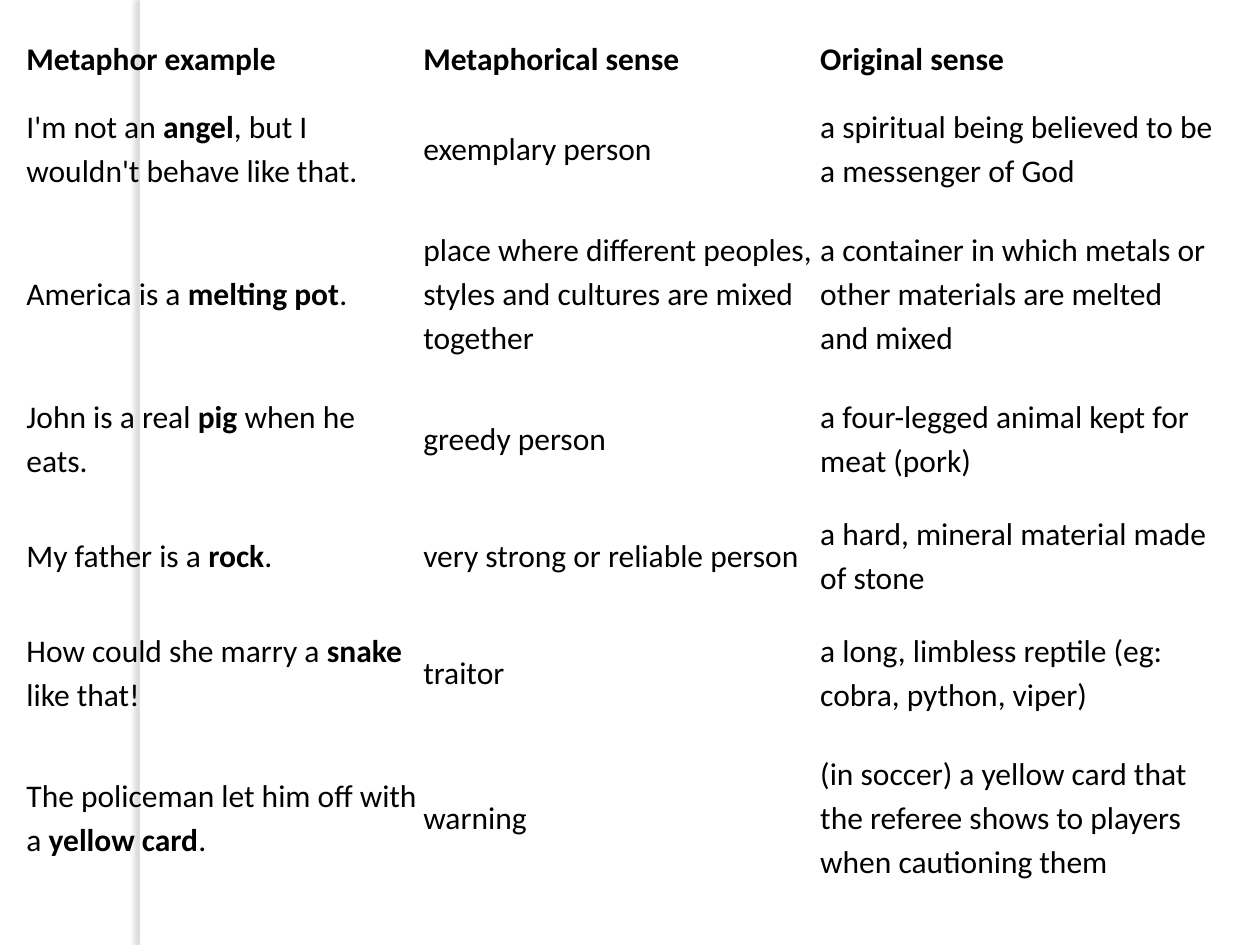
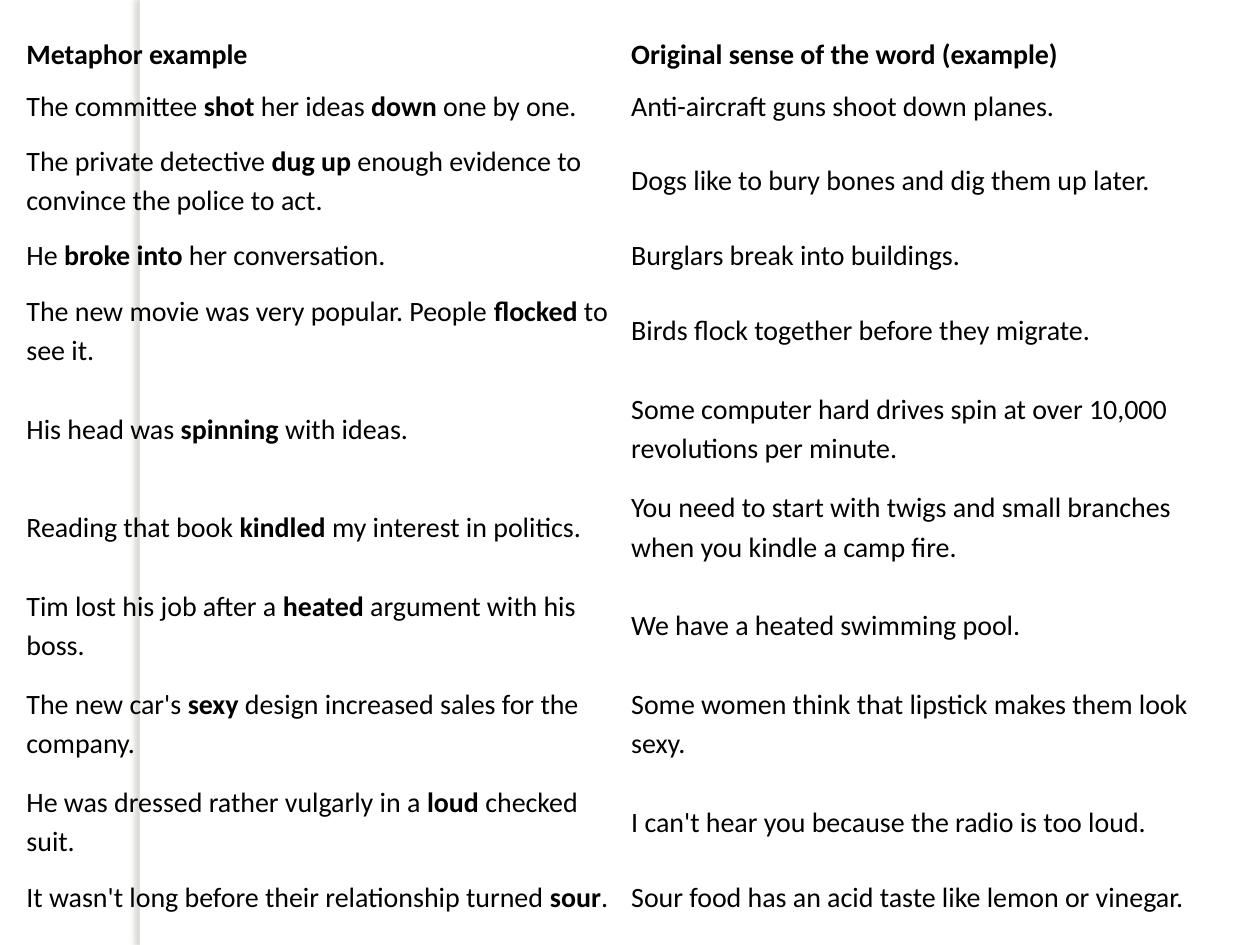
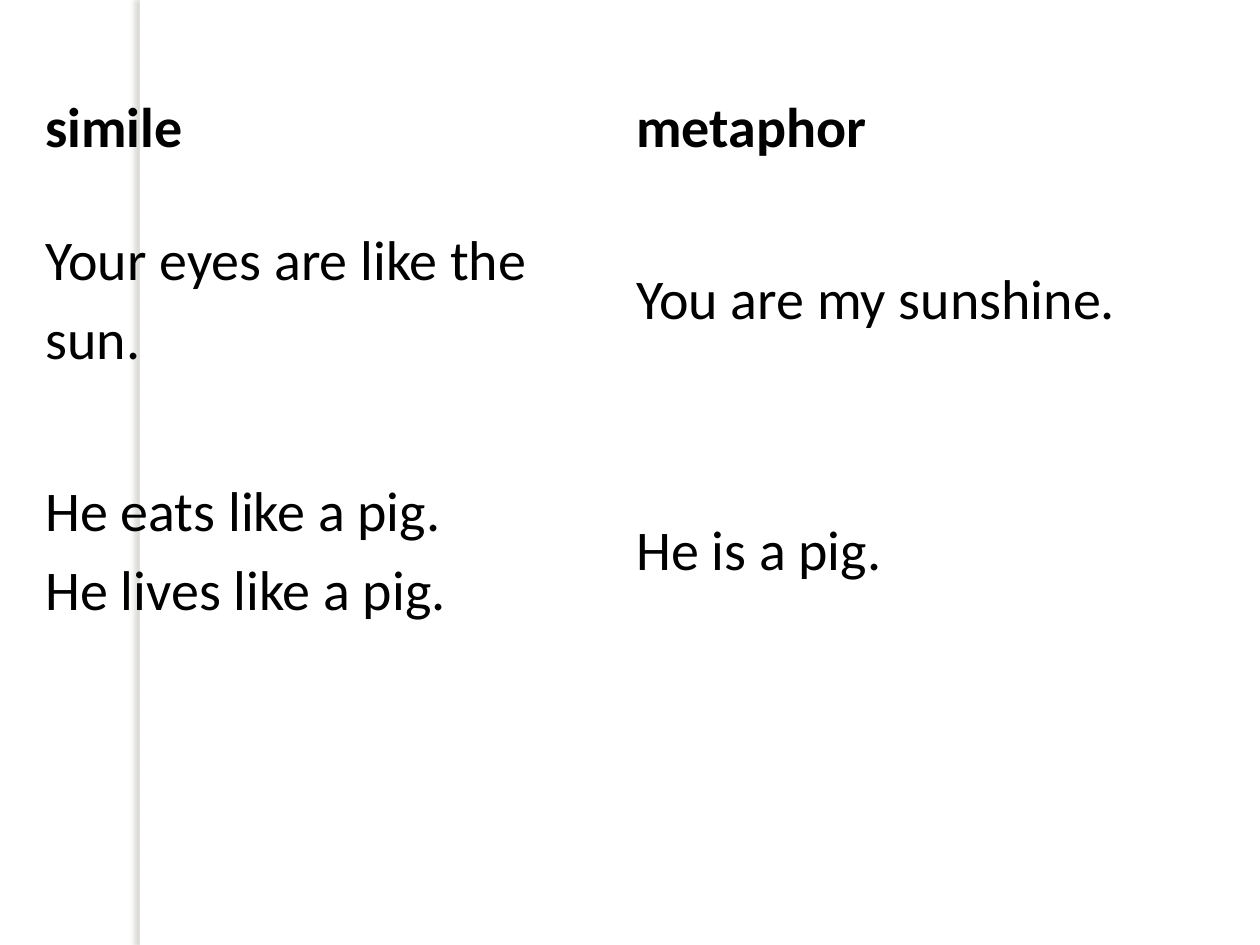
from dataclasses import dataclass

from lxml.etree import SubElement
from pptx import Presentation
from pptx.dml.color import RGBColor
from pptx.enum.shapes import MSO_SHAPE as Shape
from pptx.enum.text import MSO_ANCHOR as Anchor
from pptx.oxml.ns import qn
from pptx.util import Inches, Pt


@dataclass(frozen=True)
class Theme:
    font: str = "Calibri"
    ink: RGBColor = RGBColor(0x00, 0x00, 0x00)
    paper: RGBColor = RGBColor(0xFF, 0xFF, 0xFF)
    shadow: str = "736F63"
    dense: int = 16
    normal: int = 18
    large: int = 32
    line_spacing: float = 1.15
    space_after: int = 10
    cell_margin: float = 0.01
    plain_table: str = "{2D5ABB26-0587-4C30-8999-92F81FD0307C}"


THEME = Theme()

# Words between asterisks are bold.
SENSES = [
    ("*Metaphor example*", "*Metaphorical sense*", "*Original sense*"),
    ("I'm not an *angel*, but I wouldn't behave like that.",
     "exemplary person",
     "a spiritual being believed to be a messenger of God"),
    ("America is a *melting pot*.",
     "place where different peoples, styles and cultures are mixed together",
     "a container in which metals or other materials are melted and mixed"),
    ("John is a real *pig* when he eats.",
     "greedy person",
     "a four-legged animal kept for meat (pork)"),
    ("My father is a *rock*.",
     "very strong or reliable person",
     "a hard, mineral material made of stone"),
    ("How could she marry a *snake* like that!",
     "traitor",
     "a long, limbless reptile (eg: cobra, python, viper)"),
    ("The policeman let him off with a *yellow card*.",
     "warning",
     "(in soccer) a yellow card that the referee shows to players "
     "when cautioning them"),
]

WORD_ORIGINS = [
    ("*Metaphor example*", "*Original sense of the word (example)*"),
    ("The committee *shot* her ideas *down* one by one.",
     "Anti-aircraft guns shoot down planes."),
    ("The private detective *dug up* enough evidence to convince "
     "the police to act.",
     "Dogs like to bury bones and dig them up later."),
    ("He *broke into* her conversation.",
     "Burglars break into buildings."),
    ("The new movie was very popular. People *flocked* to see it.",
     "Birds flock together before they migrate."),
    ("His head was *spinning* with ideas.",
     "Some computer hard drives spin at over 10,000 revolutions per minute."),
    ("Reading that book *kindled* my interest in politics.",
     "You need to start with twigs and small branches when you kindle "
     "a camp fire."),
    ("Tim lost his job after a *heated* argument with his boss.",
     "We have a heated swimming pool."),
    ("The new car's *sexy* design increased sales for the company.",
     "Some women think that lipstick makes them look sexy."),
    ("He was dressed rather vulgarly in a *loud* checked suit.",
     "I can't hear you because the radio is too loud."),
    ("It wasn't long before their relationship turned *sour*.",
     "Sour food has an acid taste like lemon or vinegar."),
]

COMPARISONS = [
    ("*simile*", "*metaphor*"),
    ("Your eyes are like the sun.", "You are my sunshine."),
    ("He eats like a pig.\nHe lives like a pig.", "He is a pig."),
]


def add_side_band(page):
    """Add the white vertical band that casts a soft shadow to its left."""
    band = page.shapes.add_shape(
        Shape.RECTANGLE, Inches(1.11), 0, Inches(0.08), Inches(7.5))
    band.fill.solid()
    band.fill.fore_color.rgb = THEME.paper
    band.line.fill.background()
    band.shadow.inherit = False
    effects = band._element.spPr.find(qn("a:effectLst"))
    shadow = SubElement(effects, qn("a:outerShdw"), blurRad=str(Pt(3)),
                        dist=str(Pt(3)), dir="10800000", rotWithShape="0")
    color = SubElement(shadow, qn("a:srgbClr"), val=THEME.shadow)
    SubElement(color, qn("a:alpha"), val="25000")


def add_page(deck):
    page = deck.slides.add_slide(deck.slide_layouts[6])
    page.background.fill.solid()
    page.background.fill.fore_color.rgb = THEME.paper
    add_side_band(page)
    return page


def add_span(para, text, size, bold):
    span = para.add_run()
    span.text = text
    span.font.name = THEME.font
    span.font.size = Pt(size)
    span.font.bold = bold
    span.font.color.rgb = THEME.ink


def write_cell(cell, text, size):
    cell.fill.background()
    cell.vertical_anchor = Anchor.MIDDLE
    margin = Inches(THEME.cell_margin)
    cell.margin_left = cell.margin_right = margin
    cell.margin_top = cell.margin_bottom = margin
    para = cell.text_frame.paragraphs[0]
    para.line_spacing = THEME.line_spacing
    para.space_after = Pt(THEME.space_after)
    for line_number, line in enumerate(text.split("\n")):
        if line_number:
            para.add_line_break()
        for index, part in enumerate(line.split("*")):
            if part:
                add_span(para, part, size, bold=index % 2 == 1)


def add_text_table(page, rows, left, top, column_width, row_heights, size):
    """Add an unruled table with equal columns."""
    column_count = len(rows[0])
    frame = page.shapes.add_table(
        len(rows), column_count, Inches(left), Inches(top),
        Inches(column_width * column_count), Inches(sum(row_heights)))
    table = frame.table
    table.first_row = table.horz_banding = False
    table._tbl.tblPr.find(qn("a:tableStyleId")).text = THEME.plain_table
    for column in table.columns:
        column.width = Inches(column_width)
    for row, height, texts in zip(table.rows, row_heights, rows):
        row.height = Inches(height)
        for cell, text in zip(row.cells, texts):
            write_cell(cell, text, size)


def main():
    deck = Presentation()
    deck.slide_width, deck.slide_height = Inches(10), Inches(7.5)

    two_lines, three_lines = 0.93, 1.37
    add_text_table(add_page(deck), SENSES, 0.2, 0.21, 3.15,
                   [0.49, two_lines, three_lines, *[two_lines] * 3,
                    three_lines], THEME.normal)

    single, double = 0.41, 0.78
    add_text_table(add_page(deck), WORD_ORIGINS, 0.2, 0.21, 4.8,
                   [single, single, double, single, *[double] * 6, single],
                   THEME.dense)

    add_text_table(add_page(deck), COMPARISONS, 0.35, 0.29, 4.69,
                   [1.37, 1.37, 2.62], THEME.large)

    deck.save("out.pptx")


if __name__ == "__main__":
    main()
